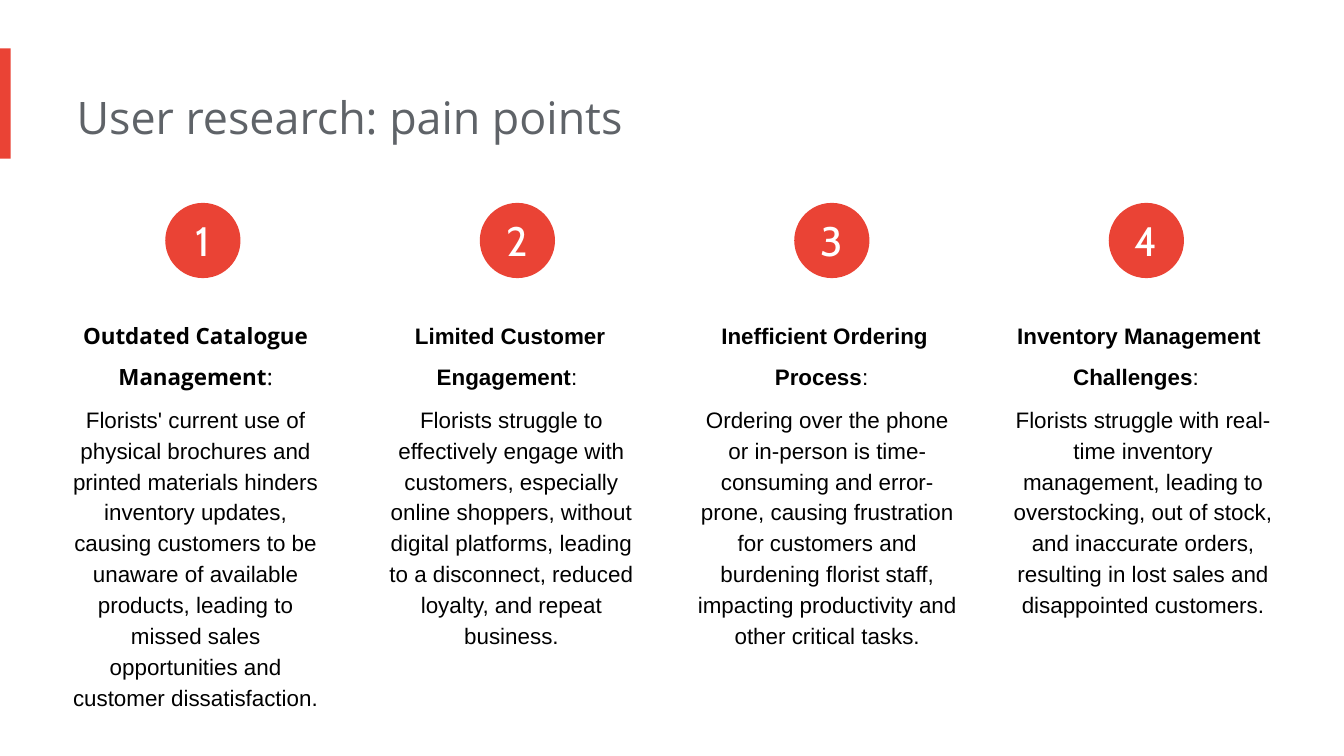
from pptx import Presentation
from pptx.dml.color import RGBColor
from pptx.enum.shapes import MSO_SHAPE
from pptx.enum.text import MSO_ANCHOR, MSO_AUTO_SIZE, PP_ALIGN
from pptx.util import Inches, Pt

RED = RGBColor(0xEA, 0x43, 0x35)
GREY = RGBColor(0x5F, 0x63, 0x68)
BLACK = RGBColor(0x00, 0x00, 0x00)
WHITE = RGBColor(0xFF, 0xFF, 0xFF)

PAIN_POINTS = [
    ("Outdated Catalogue Management", ":", "Open Sans", 0.81, 2.99,
     "Florists' current use of physical brochures and printed materials hinders "
     "inventory updates, causing customers to be unaware of available products, "
     "leading to missed sales opportunities and customer dissatisfaction."),
    ("Limited Customer Engagement", ": ", "Arial", 0.81, 2.29,
     "Florists struggle to effectively engage with customers, especially online "
     "shoppers, without digital platforms, leading to a disconnect, reduced "
     "loyalty, and repeat business."),
    ("Inefficient Ordering Process", ": ", "Arial", 0.81, 2.52,
     "Ordering over the phone or in-person is time-consuming and error-prone, "
     "causing frustration for customers and burdening florist staff, impacting "
     "productivity and other critical tasks."),
    ("Inventory Management Challenges", ": ", "Arial", 1.11, 2.06,
     "Florists struggle with real-time inventory management, leading to "
     "overstocking, out of stock, and inaccurate orders, resulting in lost sales "
     "and disappointed customers."),
]


class SlideBuilder:
    body_size = 12
    title_size = 24
    number_size = 22
    inset = 0.1

    def __init__(self, slide):
        self.slide = slide

    def add_run(self, paragraph, text, font, size, color, bold=False):
        run = paragraph.add_run()
        run.text = text
        run.font.name = font
        run.font.size = Pt(size)
        run.font.color.rgb = color
        run.font.bold = bold

    def text_box(self, left, top, width, height):
        shape = self.slide.shapes.add_textbox(
            Inches(left), Inches(top), Inches(width), Inches(height))
        frame = shape.text_frame
        frame.word_wrap = True
        frame.auto_size = MSO_AUTO_SIZE.SHAPE_TO_FIT_TEXT
        frame.margin_left = 0
        frame.margin_top = frame.margin_right = frame.margin_bottom = Inches(self.inset)
        return frame.paragraphs[0]

    def filled_shape(self, kind, left, top, width, height):
        shape = self.slide.shapes.add_shape(
            kind, Inches(left), Inches(top), Inches(width), Inches(height))
        shape.shadow.inherit = False
        shape.fill.solid()
        shape.fill.fore_color.rgb = RED
        shape.line.fill.background()
        return shape

    def title(self, text):
        paragraph = self.text_box(0.57, 0.57, 6.73, 0.61)
        self.add_run(paragraph, text, "Open Sans", self.title_size, GREY)

    def heading(self, left, height, text, ending, font):
        paragraph = self.text_box(left, 2.2, 2.05, height)
        paragraph.alignment = PP_ALIGN.CENTER
        paragraph.line_spacing = 1.5
        self.add_run(paragraph, text, font, self.body_size, BLACK, bold=True)
        self.add_run(paragraph, ending, font, self.body_size, BLACK)

    def description(self, left, height, text):
        paragraph = self.text_box(left, 2.89, 2.05, height)
        paragraph.alignment = PP_ALIGN.CENTER
        paragraph.line_spacing = 1.15
        self.add_run(paragraph, text, "Arial", self.body_size, BLACK)

    def number_badge(self, left, number):
        shape = self.filled_shape(MSO_SHAPE.OVAL, left, 1.51, 0.56, 0.56)
        frame = shape.text_frame
        frame.margin_left = frame.margin_top = 0
        frame.margin_right = frame.margin_bottom = 0
        frame.vertical_anchor = MSO_ANCHOR.MIDDLE
        paragraph = frame.paragraphs[0]
        paragraph.alignment = PP_ALIGN.CENTER
        self.add_run(paragraph, str(number), "Cabin", self.number_size, WHITE)


def main():
    presentation = Presentation()
    presentation.slide_width = Inches(10)
    presentation.slide_height = Inches(10 * 9 / 16)
    slide = presentation.slides.add_slide(presentation.slide_layouts[6])
    builder = SlideBuilder(slide)

    builder.filled_shape(MSO_SHAPE.RECTANGLE, 0, 0.36, 0.08, 0.82)
    builder.title("User research: pain points")
    for index, (heading, ending, font, heading_height, height, text) in enumerate(PAIN_POINTS):
        builder.heading(0.48 + 2.34 * index, heading_height, heading, ending, font)
        builder.description(0.48 + 2.35 * index, height, text)
        builder.number_badge(1.23 + 2.34 * index, index + 1)

    presentation.save("out.pptx")


if __name__ == "__main__":
    main()
